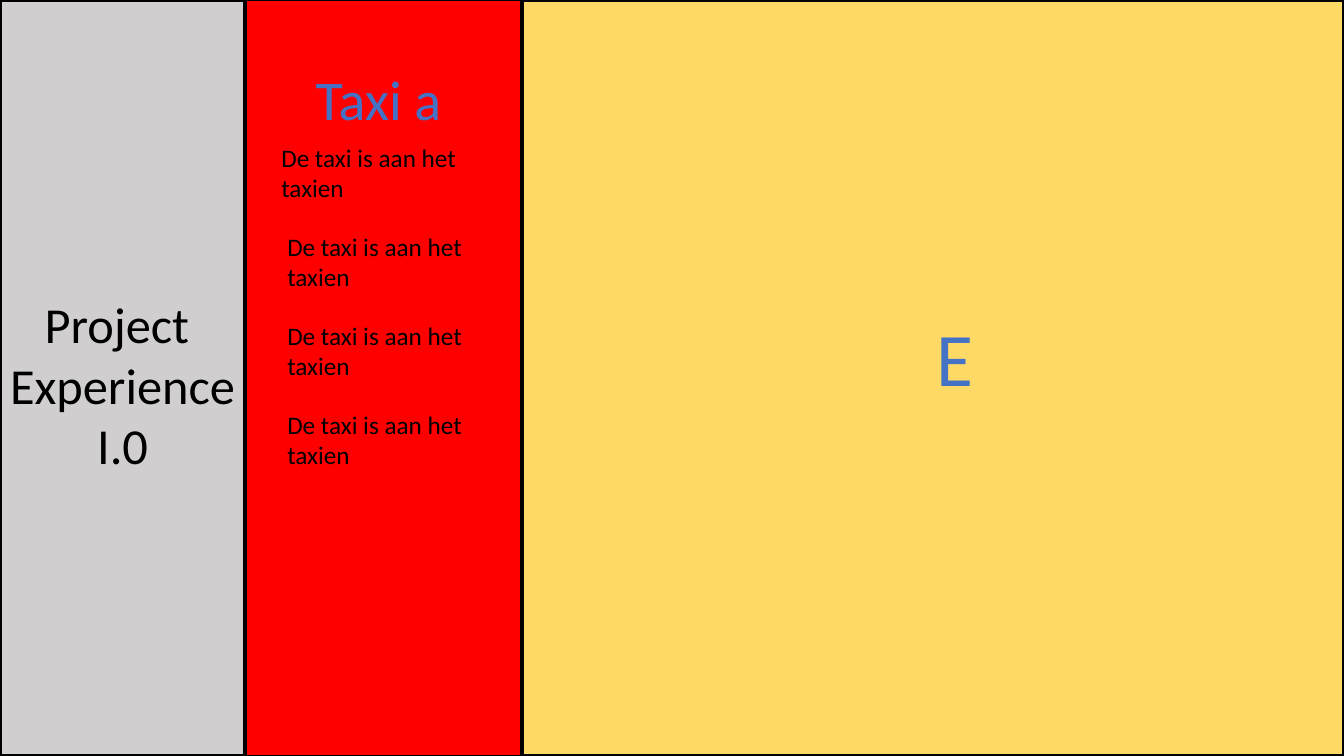
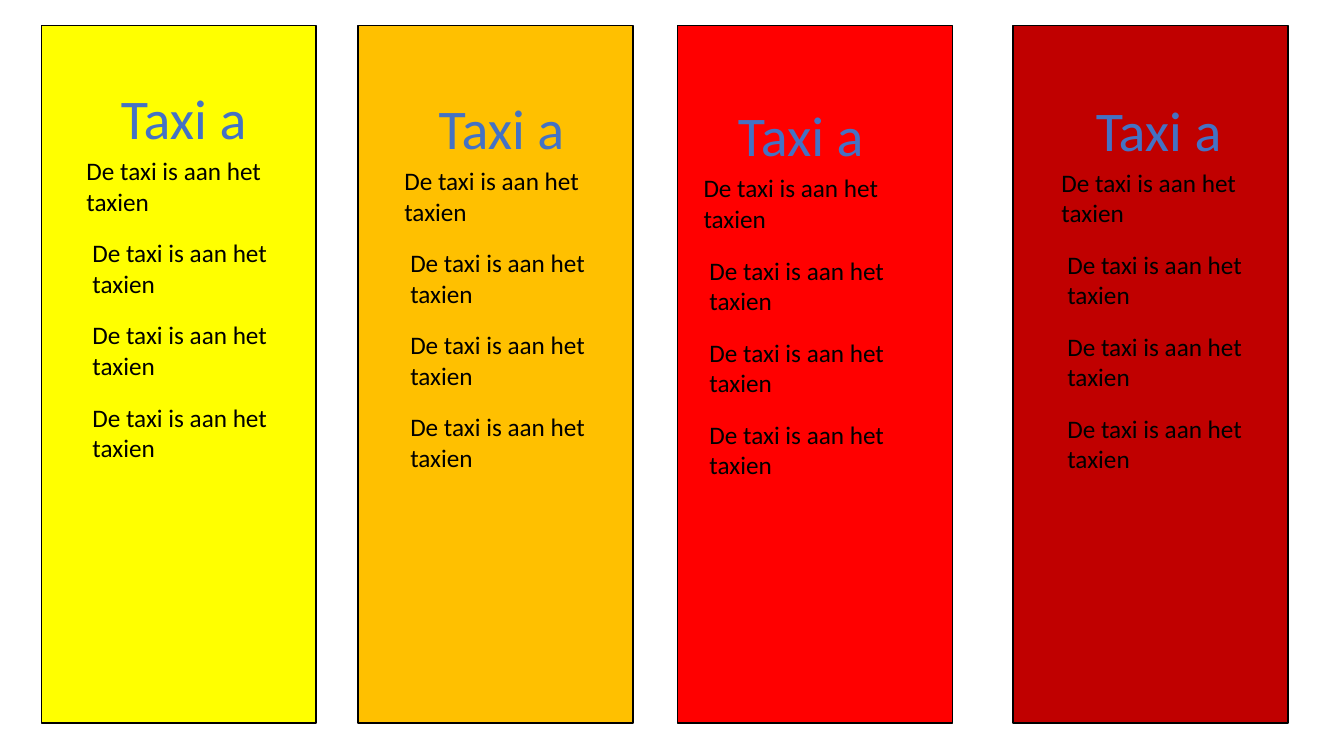
from pptx import Presentation
from pptx.dml.color import RGBColor
from pptx.enum.shapes import MSO_SHAPE
from pptx.enum.text import MSO_ANCHOR, PP_ALIGN
from pptx.util import Cm, Pt

RECTANGLE = MSO_SHAPE.RECTANGLE
TOP = MSO_ANCHOR.TOP
LEFT, CENTER = PP_ALIGN.LEFT, PP_ALIGN.CENTER

SLIDE_WIDTH, SLIDE_HEIGHT = 33.87, 19.05
TITLE_ONLY_LAYOUT, BLANK_LAYOUT = 5, 6
FONT = "Calibri"
BLACK, BLUE = "000000", "4472C4"
GRAY, SAND = "D0CECE", "FFD966"
YELLOW, ORANGE, RED, DARK_RED = "FFFF00", "FFC000", "FF0000", "C00000"

CARD_WIDTH = 6.93
HEADING = "Taxi a"
MESSAGES = ["De taxi is aan het taxien"] * 4


def color(hex_string):
    """Turn a hex string into a colour."""
    return RGBColor.from_string(hex_string)


def place(shape, left, top, width, height):
    """Move and size a shape, with lengths in centimetres."""
    shape.left, shape.top = Cm(left), Cm(top)
    shape.width, shape.height = Cm(width), Cm(height)


def write(shape, text, size, hex_string, alignment=LEFT, wrap=True):
    """Fill a shape with top-anchored text in the shared font."""
    frame = shape.text_frame
    frame.text = text
    frame.word_wrap = wrap
    frame.vertical_anchor = TOP
    for paragraph in frame.paragraphs:
        paragraph.alignment = alignment
        for run in paragraph.runs:
            run.font.name = FONT
            run.font.size = Pt(size)
            run.font.color.rgb = color(hex_string)


def add_text(slide, box, text, size, hex_string, alignment=LEFT, wrap=True):
    """Add a text box at the given left, top, width and height."""
    text_box = slide.shapes.add_textbox(*map(Cm, box))
    write(text_box, text, size, hex_string, alignment, wrap)


def add_panel(slide, box, fill, line_width):
    """Add a filled rectangle with a black outline."""
    panel = slide.shapes.add_shape(RECTANGLE, *map(Cm, box))
    panel.shadow.inherit = False
    panel.fill.solid()
    panel.fill.fore_color.rgb = color(fill)
    panel.line.color.rgb = color(BLACK)
    panel.line.width = Pt(line_width)


def add_taxi_card(slide, box, fill, text_shift, text_drop):
    """Add a card with a heading and messages, spaced by the card height."""
    left, top, _, height = box
    scale = height / SLIDE_HEIGHT
    text_left, text_top = left + text_shift, top + text_drop
    heading_height = 1.96 * scale
    add_panel(slide, box, fill, 1)
    add_text(slide, (text_left, text_top, 8.3, heading_height),
             HEADING, 40, BLUE, CENTER)
    for index, message in enumerate(MESSAGES):
        message_left = text_left + (1.6 if index else 1.45)
        message_top = text_top + heading_height + index * 2.24 * scale
        add_text(slide, (message_left, message_top, 5.46, 1.8 * scale),
                 message, 18, BLACK)


def add_project_panel(slide, box):
    """Add the side panel that holds the slide title."""
    left, top, width, _ = box
    add_panel(slide, box, GRAY, 2.25)
    title = slide.shapes.title
    place(title, left - 0.02, top + 7.26, width + 0.05, 4.88)
    write(title, "Project \nExperience\nI.0", 36, BLACK, CENTER, wrap=False)
    slide.shapes._spTree.append(title._element)


def add_letter_panel(slide, box):
    """Add the wide panel with its single letter."""
    left, top, _, _ = box
    add_panel(slide, box, SAND, 2.25)
    add_text(slide, (left + 10.19, top + 7.7, 1.45, 2.57),
             "E", 54, BLUE, CENTER, wrap=False)


def build_project_slide(presentation):
    """Build the slide with project, taxi and letter panels."""
    layout = presentation.slide_layouts[TITLE_ONLY_LAYOUT]
    slide = presentation.slides.add_slide(layout)
    add_taxi_card(slide, (6.2, 0, CARD_WIDTH, SLIDE_HEIGHT), RED, -0.81, 1.5)
    add_project_panel(slide, (0, 0, 6.17, SLIDE_HEIGHT))
    add_letter_panel(slide, (13.16, 0, 20.7, SLIDE_HEIGHT))


def build_cards_slide(presentation):
    """Build the slide with four taxi cards side by side."""
    layout = presentation.slide_layouts[BLANK_LAYOUT]
    slide = presentation.slides.add_slide(layout)
    cards = [
        (1.04, YELLOW, -0.56, 1.35),
        (9.02, ORANGE, -0.53, 1.6),
        (17.07, RED, -1.04, 1.78),
        (25.53, DARK_RED, -0.48, 1.63),
    ]
    for left, fill, text_shift, text_drop in cards:
        add_taxi_card(slide, (left, 0.64, CARD_WIDTH, 17.58),
                      fill, text_shift, text_drop)


def main():
    """Build and save the presentation."""
    presentation = Presentation()
    presentation.slide_width = Cm(SLIDE_WIDTH)
    presentation.slide_height = Cm(SLIDE_HEIGHT)
    build_project_slide(presentation)
    build_cards_slide(presentation)
    presentation.save("out.pptx")


main()
